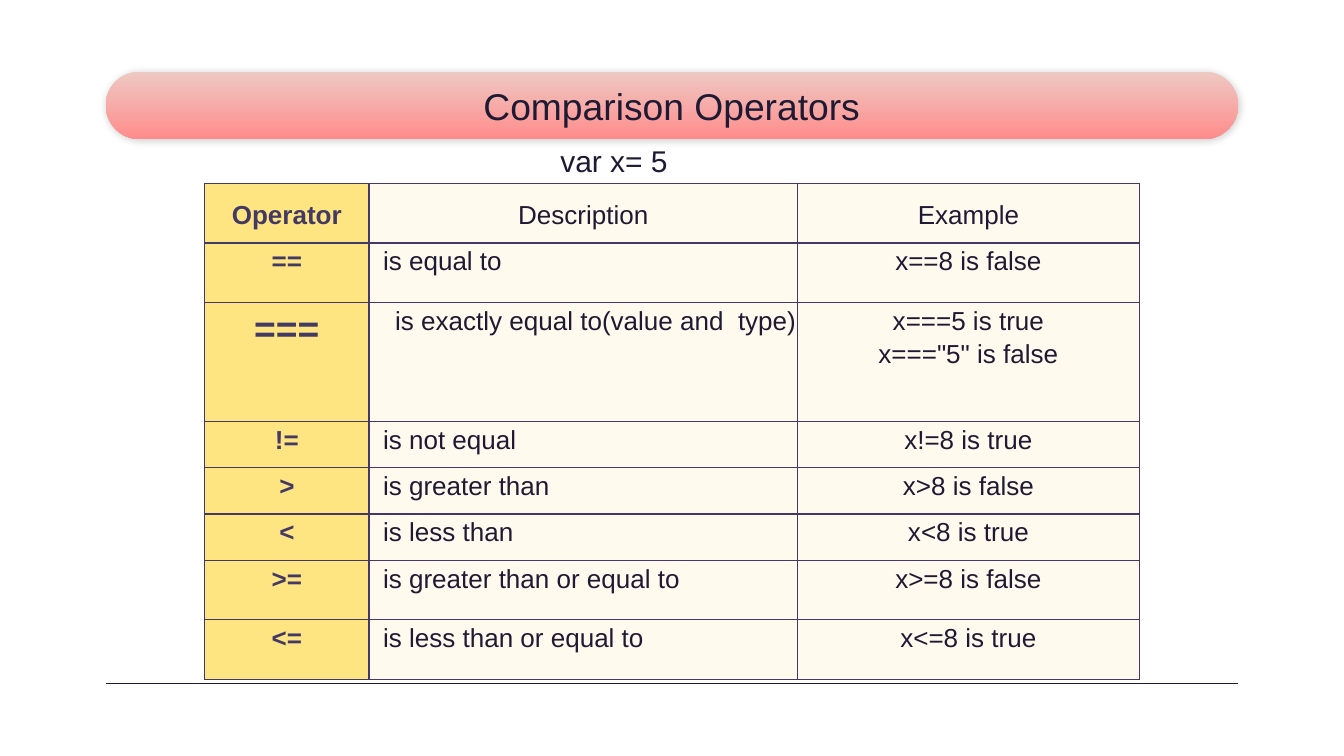
from dataclasses import dataclass

from lxml.etree import SubElement
from pptx import Presentation
from pptx.dml.color import RGBColor
from pptx.enum.shapes import MSO_CONNECTOR, MSO_SHAPE
from pptx.enum.text import MSO_ANCHOR, PP_ALIGN
from pptx.oxml import parse_xml
from pptx.oxml.ns import nsdecls, qn
from pptx.util import Inches, Pt


@dataclass(frozen=True)
class Theme:
    font: str = "Arial"
    ink: str = "1F1A33"
    plum: str = "423A64"
    gold: str = "FFE582"
    cream: str = "FFFAED"
    blush: str = "EEC9C3"
    coral: str = "FF8C8C"
    big: float = 26.6
    mid: float = 21.4
    small: float = 18.6


THEME = Theme()
WIDE, HIGH = 13.33, 7.5
COLS = [1.63, 4.25, 3.39]
ROWS = [0.59, 0.59, 1.18, 0.46, 0.46, 0.46, 0.59, 0.59]
PAD = 0.14
DATA = [
    ("Operator", "Description", "Example"),
    ("==", "is equal to", "x==8 is false"),
    ("===", "is exactly equal to(value and  type)",
     'x===5 is true\nx==="5" is false'),
    ("!=", "is not equal", "x!=8 is true"),
    (">", "is greater than", "x>8 is false"),
    ("<", "is less than", "x<8 is true"),
    (">=", "is greater than or equal to", "x>=8 is false"),
    ("<=", "is less than or equal to", "x<=8 is true"),
]


def paint(fill, color):
    fill.solid()
    fill.fore_color.rgb = RGBColor.from_string(color)


def write(frame, text, size=THEME.small, color=THEME.ink, bold=False,
          align=PP_ALIGN.LEFT, lead=None, after=None):
    para = frame.paragraphs[0]
    para.text = text
    para.alignment = align
    if lead:
        para.line_spacing = lead
    if after:
        para.space_after = Pt(after)
    for run in para.runs:
        font = run.font
        font.name, font.size, font.bold = THEME.font, Pt(size), bold
        font.color.rgb = RGBColor.from_string(color)


def label(slide, box, text, inset=(0.1, 0.05), anchor=MSO_ANCHOR.TOP, **look):
    frame = slide.shapes.add_textbox(*map(Inches, box)).text_frame
    frame.word_wrap = True
    frame.vertical_anchor = anchor
    frame.margin_left = frame.margin_right = Inches(inset[0])
    frame.margin_top = frame.margin_bottom = Inches(inset[1])
    write(frame, text, **look)


def shade(shape):
    """Give a shape a soft drop shadow."""
    shape.shadow.inherit = False
    effects = shape.element.spPr.find(qn("a:effectLst"))
    effects.append(parse_xml(
        f'<a:outerShdw {nsdecls("a")} blurRad="{Pt(5.6)}" dist="{Pt(0.8)}" '
        'dir="3960000" rotWithShape="0"><a:srgbClr val="000000">'
        '<a:alpha val="20000"/></a:srgbClr></a:outerShdw>'))


def banner(slide, box, text):
    left, top, width, height = box
    pill = slide.shapes.add_shape(MSO_SHAPE.ROUNDED_RECTANGLE,
                                  *map(Inches, box))
    pill.adjustments[0] = 0.5
    pill.line.fill.background()
    pill.fill.gradient()
    pill.fill.gradient_angle = 270
    for stop, color in zip(pill.fill.gradient_stops,
                           (THEME.blush, THEME.coral)):
        stop.color.rgb = RGBColor.from_string(color)
    shade(pill)
    inner = (left + 0.2 * width, top, 0.6 * width, height)
    label(slide, inner, text, inset=(0.1, 0.1), anchor=MSO_ANCHOR.MIDDLE,
          size=THEME.big, align=PP_ALIGN.CENTER)


def rule(slide, left, right, top):
    line = slide.shapes.add_connector(
        MSO_CONNECTOR.STRAIGHT, *map(Inches, (left, top, right, top)))
    line.line.width = Pt(0.75)
    paint(line.line.fill, THEME.ink)
    SubElement(line.element.spPr, qn("a:effectLst"))


def frame_cell(cell):
    """Draw a thin border on all four sides."""
    props = cell._tc.get_or_add_tcPr()
    for side in "LRTB":
        props.append(parse_xml(
            f'<a:ln{side} {nsdecls("a")} w="{Pt(1)}"><a:solidFill>'
            f'<a:srgbClr val="{THEME.plum}"/></a:solidFill></a:ln{side}>'))


def fill_cell(cell, text, row, col):
    key, head = col == 0, row == 0
    prose = col == 1 and not head
    frame_cell(cell)
    paint(cell.fill, THEME.gold if key else THEME.cream)
    cell.margin_right = cell.margin_top = cell.margin_bottom = 0
    indent = 0.26 if text.startswith("is exactly") else PAD
    cell.margin_left = Inches(indent if prose else 0)
    cell.vertical_anchor = MSO_ANCHOR.MIDDLE if head else MSO_ANCHOR.TOP
    write(cell.text_frame, text, bold=key, lead=1.15, after=10,
          size=THEME.big if text == "===" else THEME.small,
          color=THEME.plum if key else THEME.ink,
          align=PP_ALIGN.LEFT if prose else PP_ALIGN.CENTER)


def grid(slide, left, top):
    box = (left, top, sum(COLS), sum(ROWS))
    table = slide.shapes.add_table(len(ROWS), len(COLS),
                                   *map(Inches, box)).table
    table.first_row = table.horz_banding = False
    for column, width in zip(table.columns, COLS):
        column.width = Inches(width)
    for r, (height, texts) in enumerate(zip(ROWS, DATA)):
        table.rows[r].height = Inches(height)
        for c, text in enumerate(texts):
            fill_cell(table.cell(r, c), text, r, c)


def main():
    deck = Presentation()
    deck.slide_width, deck.slide_height = Inches(WIDE), Inches(HIGH)
    slide = deck.slides.add_slide(deck.slide_layouts[6])
    edge = 1.05
    banner(slide, (edge, 0.71, WIDE - 2 * edge, 0.67), "Comparison Operators")
    rule(slide, edge, WIDE - edge, 6.78)
    grid(slide, (WIDE - sum(COLS)) / 2, 1.82)
    label(slide, (5.46, 1.37, 2.41, 0.46), "var x= 5", size=THEME.mid)
    deck.save("out.pptx")


if __name__ == "__main__":
    main()
